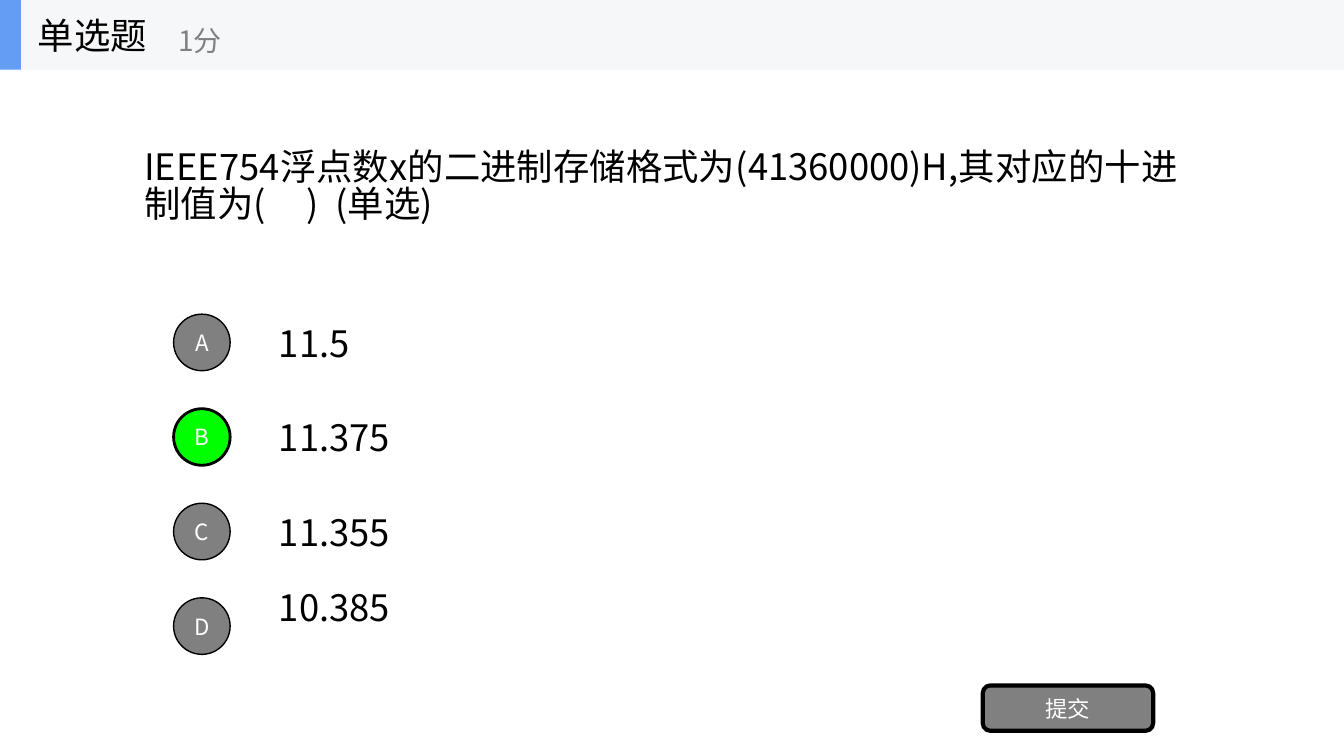
from pptx import Presentation
from pptx.dml.color import RGBColor
from pptx.enum.shapes import MSO_SHAPE
from pptx.enum.text import MSO_ANCHOR, PP_ALIGN
from pptx.oxml.ns import qn
from pptx.util import Pt

FONT = "Noto Sans CJK SC"
COLORS = {
    "ink": "000000",
    "white": "FFFFFF",
    "gray": "808080",
    "correct": "00FF00",
    "header": "F6F7F8",
    "accent": "639EF4",
}


def write(shape, text, size, color, align=PP_ALIGN.LEFT):
    """Fill a shape with one vertically centred paragraph."""
    frame = shape.text_frame
    frame.word_wrap = True
    frame.vertical_anchor = MSO_ANCHOR.MIDDLE
    frame.text = text
    para = frame.paragraphs[0]
    para.alignment = align
    for span in para.runs:
        span.font.size = Pt(size)
        span.font.name = FONT
        span.font.color.rgb = RGBColor.from_string(COLORS[color])
        east_asian = span.font._element.makeelement(qn("a:ea"), {"typeface": FONT})
        span.font._element.find(qn("a:latin")).addnext(east_asian)
    return para


def add_label(page, box, text, size=26, color="ink"):
    """Add a text box and return its paragraph."""
    label = page.shapes.add_textbox(*map(Pt, box))
    return write(label, text, size, color)


def add_panel(page, kind, box, fill, line_width=0):
    """Add a filled shape with an optional black outline."""
    panel = page.shapes.add_shape(kind, *map(Pt, box))
    panel.shadow.inherit = False
    panel.fill.solid()
    panel.fill.fore_color.rgb = RGBColor.from_string(COLORS[fill])
    if line_width:
        panel.line.color.rgb = RGBColor.from_string(COLORS["ink"])
        panel.line.width = Pt(line_width)
    else:
        panel.line.fill.background()
    return panel


def add_header(page, box):
    """Add the bar with the question type and its score."""
    left, top, width, height = box
    add_panel(page, MSO_SHAPE.RECTANGLE, box, "header")
    add_panel(page, MSO_SHAPE.RECTANGLE, (left, top, 15, height), "accent")
    add_label(page, (left + 20, top, 100, height), "单选题")
    add_label(page, (left + 120.4, top + 8.8, 180, 40), "1分", 20, "gray")


def add_question(page, box, text):
    """Add the question with tightened lines."""
    add_label(page, box, text).line_spacing = 0.85


def add_options(page, box, options, correct):
    """Add one lettered circle and answer per row, with the given rise."""
    left, top, width, height = box
    size, text_height, text_offset = 40.4, 38, 68.2
    pitch = (height - size) / (len(options) - 1)
    for row, (letter, answer, rise) in enumerate(options):
        row_top = top + row * pitch
        chosen = letter == correct
        badge = add_panel(
            page, MSO_SHAPE.OVAL, (left, row_top, size, size),
            "correct" if chosen else "gray", 2 if chosen else 1,
        )
        write(badge, letter, 16, "white", PP_ALIGN.CENTER)
        text_top = row_top + (size - text_height) / 2 - rise
        add_label(page, (left + text_offset, text_top, width - text_offset, text_height), answer)


def add_submit(page, box):
    """Add the submit button."""
    button = add_panel(page, MSO_SHAPE.ROUNDED_RECTANGLE, box, "gray", 3)
    write(button, "提交", 16, "white", PP_ALIGN.CENTER)


def main():
    """Build and save the quiz slide."""
    deck = Presentation()
    deck.slide_width, deck.slide_height = Pt(960), Pt(540)
    page = deck.slides.add_slide(deck.slide_layouts[6])
    add_question(
        page, (96, 99.4, 757.4, 69.8),
        "IEEE754浮点数x的二进制存储格式为(41360000)H,其对应的十进制值为(     )  (单选)",
    )
    options = [("A", "11.5", 0), ("B", "11.375", 0), ("C", "11.355", 0), ("D", "10.385", 13.6)]
    add_options(page, (124, 224.4, 429, 243), options, "B")
    add_submit(page, (702, 489.6, 121.7, 32.4))
    add_header(page, (0, 0, 960, 49.8))
    deck.save("out.pptx")


if __name__ == "__main__":
    main()
